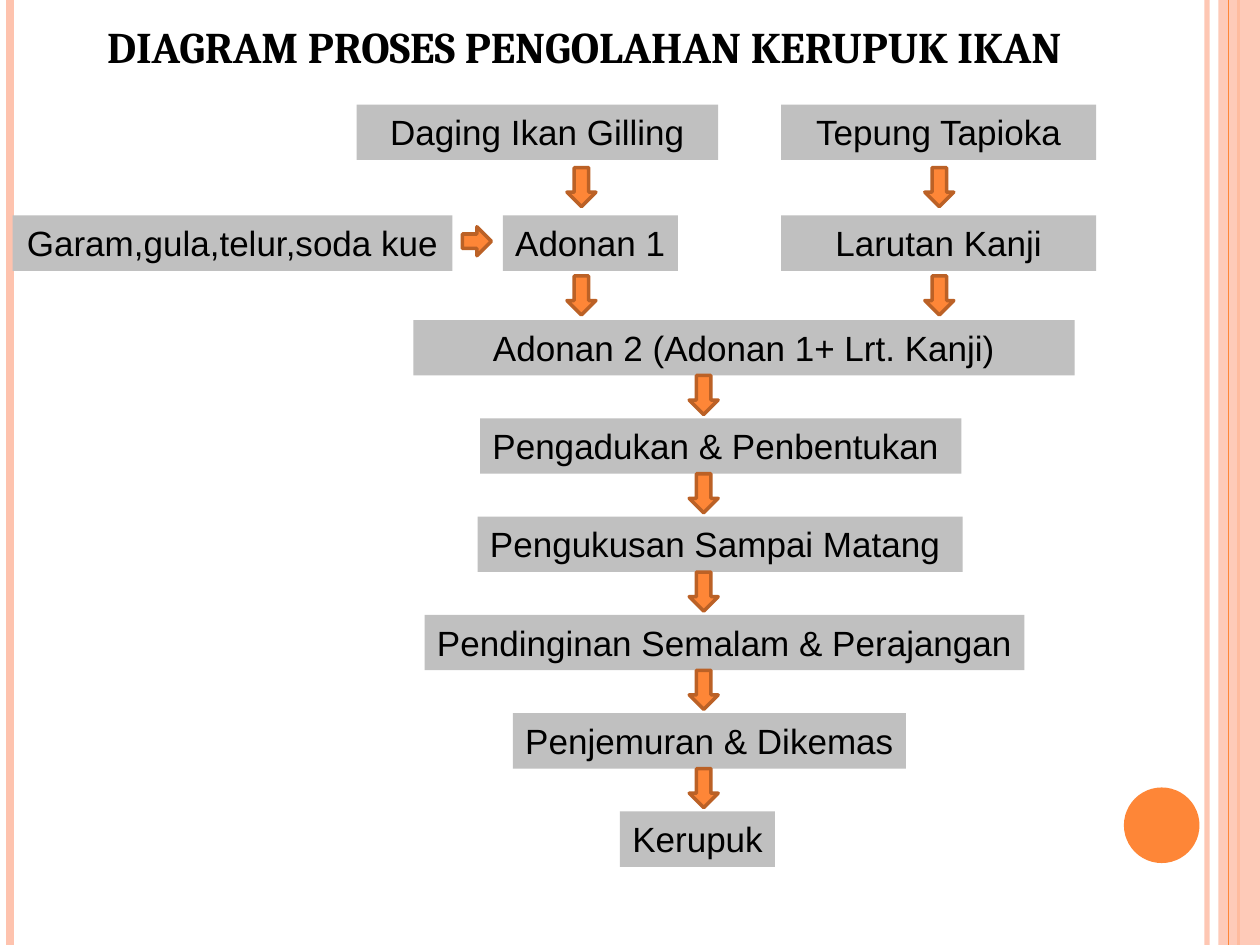
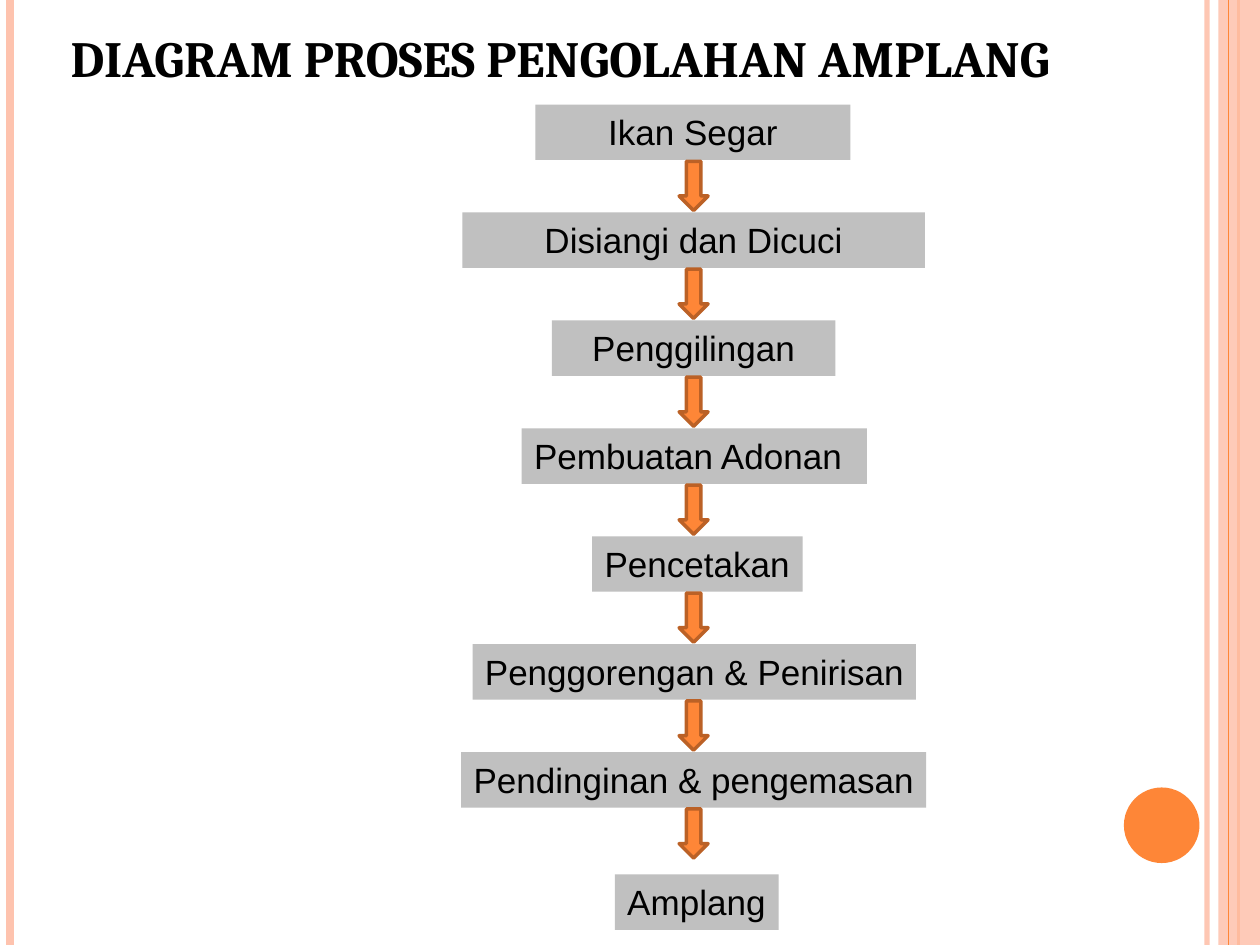
from dataclasses import dataclass

from lxml import etree
from pptx import Presentation
from pptx.dml.color import RGBColor
from pptx.enum import shapes, text
from pptx.oxml import ns
from pptx.util import Inches, Pt


@dataclass(frozen=True)
class Theme:
    ink: str = "000000"
    step: str = "C0C0C0"
    accent: str = "FE8637"
    accent_dark: str = "BB6126"
    band: str = "FEC3AE"
    title_font: str = "Cambria"
    step_font: str = "Arial"
    step_size: float = 20
    arrow_line: float = 2


@dataclass(frozen=True)
class Box:
    left: float
    top: float
    width: float
    height: float

    def lengths(self):
        return [Inches(v) for v in (self.left, self.top, self.width, self.height)]


THEME = Theme()
KIND = shapes.MSO_SHAPE
STEP_HEIGHT = 0.44
ARROW_WIDTH = 0.23
LEFT, CENTER = text.PP_ALIGN.LEFT, text.PP_ALIGN.CENTER


def apply(target, formats):
    for name, value in formats.items():
        setattr(target, name, value)


def set_color(color_format, color, alpha=100):
    color_format.rgb = RGBColor.from_string(color)
    if alpha < 100:
        for node in color_format._xFill.iter(ns.qn("a:srgbClr")):
            etree.SubElement(node, ns.qn("a:alpha"), val=str(alpha * 1000))


def write(frame, words, font, size, align, bold=False, **frame_formats):
    apply(frame, dict(
        word_wrap=True, auto_size=text.MSO_AUTO_SIZE.NONE,
        margin_left=Inches(0.1), margin_right=Inches(0.1),
        margin_top=Inches(0.05), margin_bottom=Inches(0.05), **frame_formats))
    para = frame.paragraphs[0]
    para.alignment = align
    span = para.add_run()
    span.text = words
    apply(span.font, dict(name=font, size=Pt(size), bold=bold))
    set_color(span.font.color, THEME.ink)


def add_figure(page, kind, box, fill, alpha=100, line=None):
    figure = page.shapes.add_shape(kind, *box.lengths())
    figure.shadow.inherit = False
    figure.fill.solid()
    set_color(figure.fill.fore_color, fill, alpha)
    if line:
        set_color(figure.line.color, line)
        figure.line.width = Pt(THEME.arrow_line)
    else:
        figure.line.fill.background()
    return figure


def add_rule(page, x, height, color, width, alpha=100):
    rule = page.shapes.add_connector(
        shapes.MSO_CONNECTOR.STRAIGHT, Inches(x), 0, Inches(x), Inches(height))
    set_color(rule.line.color, color, alpha)
    rule.line.width = Pt(width)
    etree.SubElement(rule.element.spPr, ns.qn("a:effectLst"))
    return rule


def decorate_layout(layout, page, box):
    """Draw the side bands on a page, then move them to the layout all pages share."""
    right = box.left + box.width
    bands = [
        add_rule(page, right - 0.42, box.height, THEME.band, 3, 93),
        add_rule(page, box.left + 0.08, box.height, THEME.band, 4.5),
        add_rule(page, right - 0.17, box.height, THEME.accent, 1.5),
        add_figure(page, KIND.RECTANGLE,
                   Box(right - 0.33, box.top, 0.33, box.height), THEME.band, 87),
        add_rule(page, right - 0.25, box.height, THEME.accent, 0.75),
        add_figure(page, KIND.OVAL, Box(right - 1.08, 6.25, 0.6, 0.6), THEME.accent),
    ]
    for number, band in enumerate(bands, start=100):
        band.element.xpath(".//p:cNvPr")[0].set("id", str(number))
        layout.shapes.element.append(band.element)


def set_title(page, box, words, size):
    title = page.shapes.title
    apply(title, dict(zip(("left", "top", "width", "height"), box.lengths())))
    write(title.text_frame, words, THEME.title_font, size, LEFT, bold=True,
          vertical_anchor=text.MSO_ANCHOR.BOTTOM)


def add_step(page, left, top, width, words, align):
    step = add_figure(page, KIND.RECTANGLE, Box(left, top, width, STEP_HEIGHT), THEME.step)
    write(step.text_frame, words, THEME.step_font, THEME.step_size, align,
          vertical_anchor=text.MSO_ANCHOR.TOP)
    if align == LEFT:
        step.text_frame.margin_right = 0


def add_arrow(page, left, top, height, kind=KIND.DOWN_ARROW):
    add_figure(page, kind, Box(left, top, ARROW_WIDTH, height),
               THEME.accent, line=THEME.accent_dark)


def add_chain(page, box, steps, pitch, arrow_left, arrow_gap, arrow_height):
    """Stack steps at an even pitch, the last one on the box's bottom edge."""
    last = len(steps) - 1
    for row, (offset, width, words, align) in enumerate(steps):
        top = box.top + row * pitch
        if row == last:
            top = box.top + box.height - STEP_HEIGHT
        add_step(page, box.left + offset, top, width, words, align)
    for row in range(last):
        add_arrow(page, box.left + arrow_left,
                  box.top + row * pitch + STEP_HEIGHT + arrow_gap, arrow_height)


def add_ingredients(page, box):
    """Two rows of ingredients, with arrows down to the dough below."""
    second = box.top + 0.88
    for offset, top, width, words, align in (
            (2.73, box.top, 2.87, "Daging Ikan Gilling", CENTER),
            (6.1, box.top, 2.5, "Tepung Tapioka", CENTER),
            (0, second, 3.49, "Garam,gula,telur,soda kue", CENTER),
            (3.89, second, 1.39, "Adonan 1", LEFT),
            (6.1, second, 2.5, "Larutan Kanji", CENTER)):
        add_step(page, box.left + offset, top, width, words, align)
    add_arrow(page, box.left + 3.57, second + 0.09, ARROW_WIDTH, KIND.RIGHT_ARROW)
    for offset in (4.4, 7.24):
        for drop in (0.5, 1.36):
            add_arrow(page, box.left + offset, box.top + drop, 0.31)


def build_kerupuk(page):
    set_title(page, Box(0.75, 0.03, 8.5, 0.59),
              "DIAGRAM PROSES PENGOLAHAN KERUPUK IKAN", 25)
    add_ingredients(page, Box(0.1, 0.83, 8.6, 1.32))
    add_chain(page, Box(3.28, 2.54, 5.25, 4.34), [
        (0, 5.25, "Adonan 2 (Adonan 1+ Lrt. Kanji)", CENTER),
        (0.53, 3.82, "Pengadukan & Penbentukan", LEFT),
        (0.51, 3.85, "Pengukusan Sampai Matang", LEFT),
        (0.09, 4.76, "Pendinginan Semalam & Perajangan", LEFT),
        (0.79, 3.12, "Penjemuran & Dikemas", LEFT),
        (1.64, 1.23, "Kerupuk", LEFT),
    ], pitch=0.78, arrow_left=2.19, arrow_gap=0, arrow_height=0.31)


def build_amplang(page):
    set_title(page, Box(0.46, 0.17, 8.92, 0.58),
              "DIAGRAM PROSES PENGOLAHAN AMPLANG", 29)
    add_chain(page, Box(3.66, 0.83, 3.69, 6.55), [
        (0.59, 2.5, "Ikan Segar", CENTER),
        (0.01, 3.67, "Disiangi dan Dicuci", CENTER),
        (0.72, 2.25, "Penggilingan", CENTER),
        (0.48, 2.74, "Pembuatan Adonan", LEFT),
        (1.04, 1.67, "Pencetakan", LEFT),
        (0.09, 3.52, "Penggorengan & Penirisan", LEFT),
        (0, 3.69, "Pendinginan & pengemasan", LEFT),
        (1.22, 1.3, "Amplang", LEFT),
    ], pitch=5.14 / 6, arrow_left=1.73, arrow_gap=0.01, arrow_height=0.39)


def main():
    deck = Presentation()
    deck.slide_width, deck.slide_height = Inches(10), Inches(7.5)
    layout = deck.slide_layouts.get_by_name("Title Only")
    pages = [deck.slides.add_slide(layout) for _ in range(2)]
    decorate_layout(layout, pages[0], Box(0, 0, 10, 7.5))
    for page, build in zip(pages, (build_kerupuk, build_amplang)):
        build(page)
    deck.save("out.pptx")


if __name__ == "__main__":
    main()
